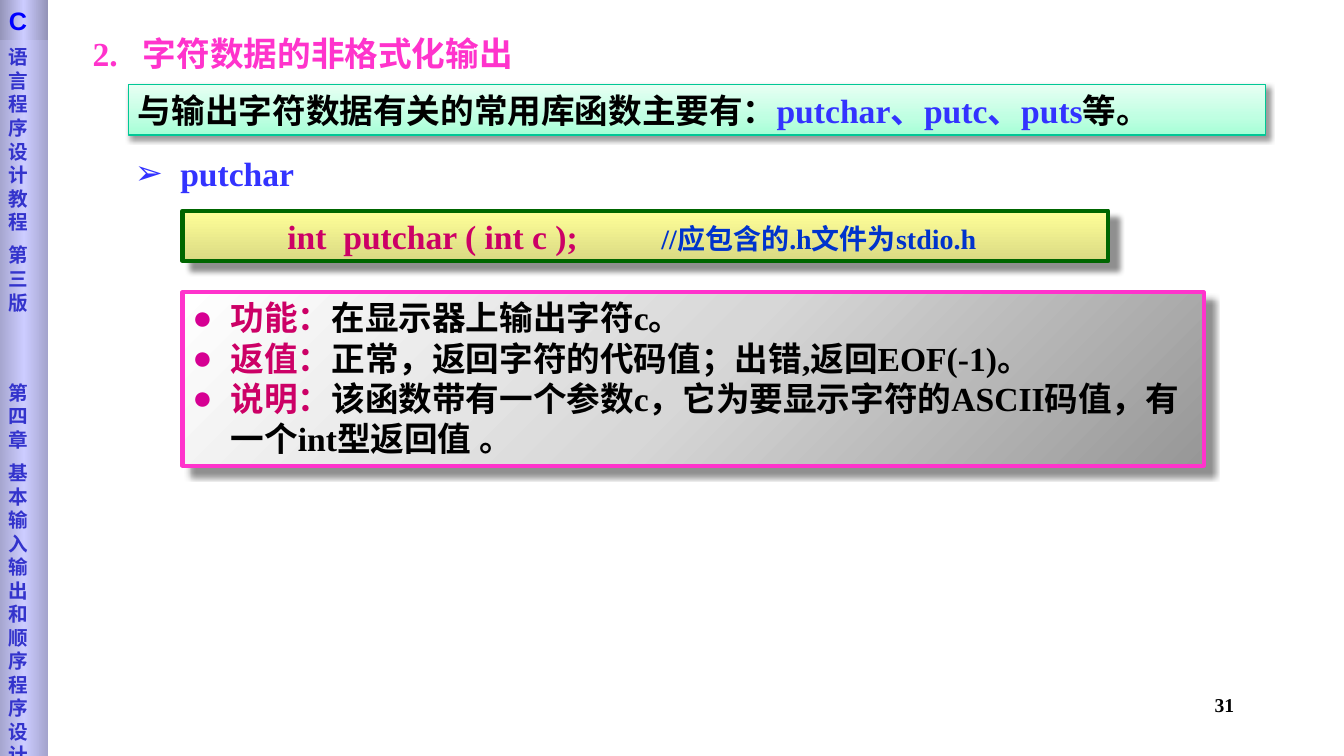
from lxml import etree
from pptx import Presentation, util as u
from pptx.dml.color import RGBColor
from pptx.enum import shapes, text
from pptx.oxml import ns

CELL = u.Inches(0.1)  # grid of 133.3 columns by 75 rows
SERIF = "Times New Roman"
PINK, ROSE, BLUE, BLACK = "FF33CC", "CC0066", "3333FF", "000000"


def block(at, stops=None, angle=0, line=None, shade=None):
    """Place a text box, or a gradient rectangle when stops are given, by grid cells."""
    spot = [round(n * CELL) for n in at]
    if not stops:
        item = slide.shapes.add_textbox(*spot)
        item.text_frame.word_wrap = True
        return item
    item = slide.shapes.add_shape(shapes.MSO_SHAPE.RECTANGLE, *spot)
    item.shadow.inherit = False
    item.text_frame.word_wrap = True
    item.text_frame.vertical_anchor = text.MSO_ANCHOR.TOP
    item.fill.gradient()
    fill = item.element.spPr.find(ns.qn("a:gradFill"))
    steps = fill.find(ns.qn("a:gsLst"))
    for old in list(steps):
        steps.remove(old)
    for place, tint in stops:
        stop = etree.SubElement(steps, ns.qn("a:gs"), pos=str(place * 1000))
        etree.SubElement(stop, ns.qn("a:srgbClr"), val=tint)
    fill.find(ns.qn("a:lin")).set("ang", str(angle * 60000))
    if line:
        item.line.color.rgb = RGBColor.from_string(line[0])
        item.line.width = u.Pt(line[1])
    else:
        item.line.fill.background()
    if shade:
        alpha, dist = shade
        cast = etree.SubElement(
            item.element.spPr.find(ns.qn("a:effectLst")), ns.qn("a:outerShdw"),
            blurRad=str(u.Pt(4)), dist=str(u.Pt(dist)), dir="2700000",
            algn="tl", rotWithShape="0")
        tone = etree.SubElement(cast, ns.qn("a:srgbClr"), val=BLACK)
        etree.SubElement(tone, ns.qn("a:alpha"), val=str(alpha * 1000))
    return item


def write(item, rows, size=24, face=SERIF, hang=0, mark=None, tint=None, tab=0):
    """Fill a shape with rows of (words, colour[, size]) runs."""
    frame = item.text_frame
    for i, row in enumerate(rows):
        para = frame.paragraphs[0] if i == 0 else frame.add_paragraph()
        para.alignment = text.PP_ALIGN.LEFT
        props = para._p.get_or_add_pPr()
        if hang:
            props.set("marL", str(u.Inches(hang)))
            props.set("indent", str(-u.Inches(hang)))
        if mark:
            shade = etree.SubElement(props, ns.qn("a:buClr"))
            etree.SubElement(shade, ns.qn("a:srgbClr"), val=tint)
            etree.SubElement(props, ns.qn("a:buFont"), typeface="Arial")
            etree.SubElement(props, ns.qn("a:buChar"), char=mark)
        if tab:
            tabs = etree.SubElement(props, ns.qn("a:tabLst"))
            etree.SubElement(tabs, ns.qn("a:tab"), pos=str(u.Inches(tab)), algn="l")
        for words, tone, *own in row:
            run = para.add_run()
            run.text = words
            run.font.name = face
            run.font.size = u.Pt(own[0] if own else size)
            run.font.bold = True
            run.font.color.rgb = RGBColor.from_string(tone)
    return frame


deck = Presentation()
deck.slide_width, deck.slide_height = u.Inches(13.33), u.Inches(7.5)
slide = deck.slides.add_slide(deck.slide_layouts[6])

# Heading
title = block((8.2, 2.8, 51, 5))
write(title, [[("2.\t字符数据的非格式化输出", PINK)]], hang=0.5)

# Prototype of the function
code = block((18.1, 20.9, 91.8, 5), [(0, "FFFF99"), (100, "DADA83")], 90,
             ("006600", 3), (43, 8.4))
frame = write(code, [[("int  putchar ( int c );\t", ROSE),
                      ("//应包含的.h文件为stdio.h", "0033CC", 20)]], tab=3.71)
frame.margin_left = u.Inches(1.04)

# List of library functions
banner = block((12.7, 8.4, 112.8, 5),
               [(0, "A5FFD6"), (35, "BFFFE2"), (100, "E7FFF3")], 270,
               ("00C896", 0.75), (40, 3))
frame = write(banner, [[("与输出字符数据有关的常用库函数主要有：", BLACK),
                        ("putchar、putc、puts", BLUE), ("等。", BLACK)]])
frame.vertical_anchor = text.MSO_ANCHOR.MIDDLE

topic = block((12.4, 14.7, 52.6, 5))
write(topic, [[("putchar", BLUE)]], hang=0.45, mark="➢", tint=BLUE)

# What the function does
facts = [
    ("功能：", "在显示器上输出字符c。"),
    ("返值：", "正常，返回字符的代码值；出错,返回EOF(-1)。"),
    ("说明：", "该函数带有一个参数c，它为要显示字符的ASCII码值，有一个int型返回值 。"),
]
panel = block((18.1, 29, 101.3, 17.2),
              [(0, "979797"), (50, "D7D7D7"), (100, "FFFFFF")], 225,
              (PINK, 3), (43, 8.4))
write(panel, [[(head, ROSE), (body, BLACK)] for head, body in facts],
      hang=0.38, mark="●", tint="D60093")

# Side strip with the book and chapter names
strip = block((-0.1, 0, 4.9, 75), [(0, "A4A4CD"), (50, "CCCCFF"), (100, "A4A4CD")])
names = ["语言程序设计教程", "第三版", "第四章", "基本输入输出和顺序程序设计"]
frame = write(strip, [[(name, "3333CC")] for name in names], 14, "DejaVu Sans")
frame.margin_top = u.Inches(0.45)
for para, gap in zip(frame.paragraphs, (0, 7, 47.5, 7)):
    para.space_before = u.Pt(gap)

cap = block((-0.1, 0, 4.9, 4), [(0, "9292B6"), (50, "CCCCFF"), (100, "9292B6")])
write(cap, [[("C", "0000FF")]], 18, "Arial")

# Page number
page = block((95.6, 68.3, 27.8, 5))
frame = write(page, [[("31", BLACK)]], 14)
frame.paragraphs[0].alignment = text.PP_ALIGN.RIGHT

deck.save("out.pptx")
